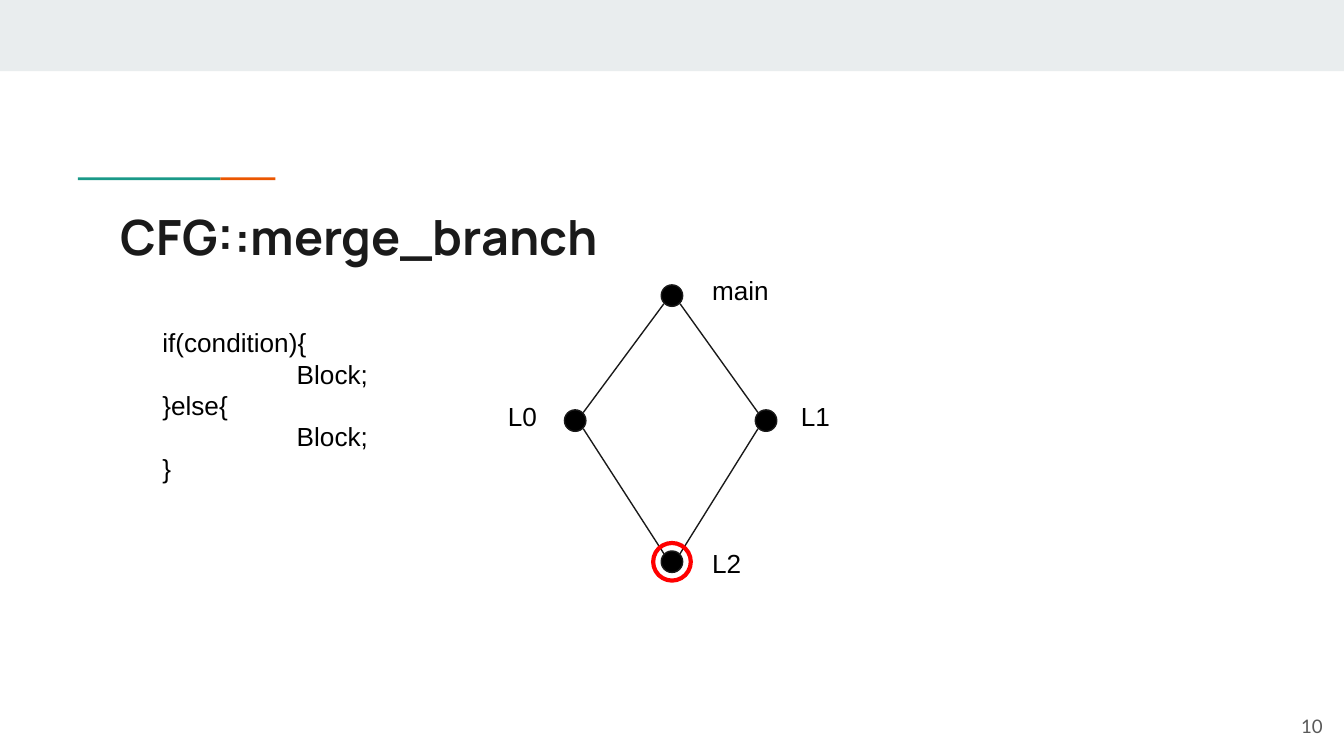
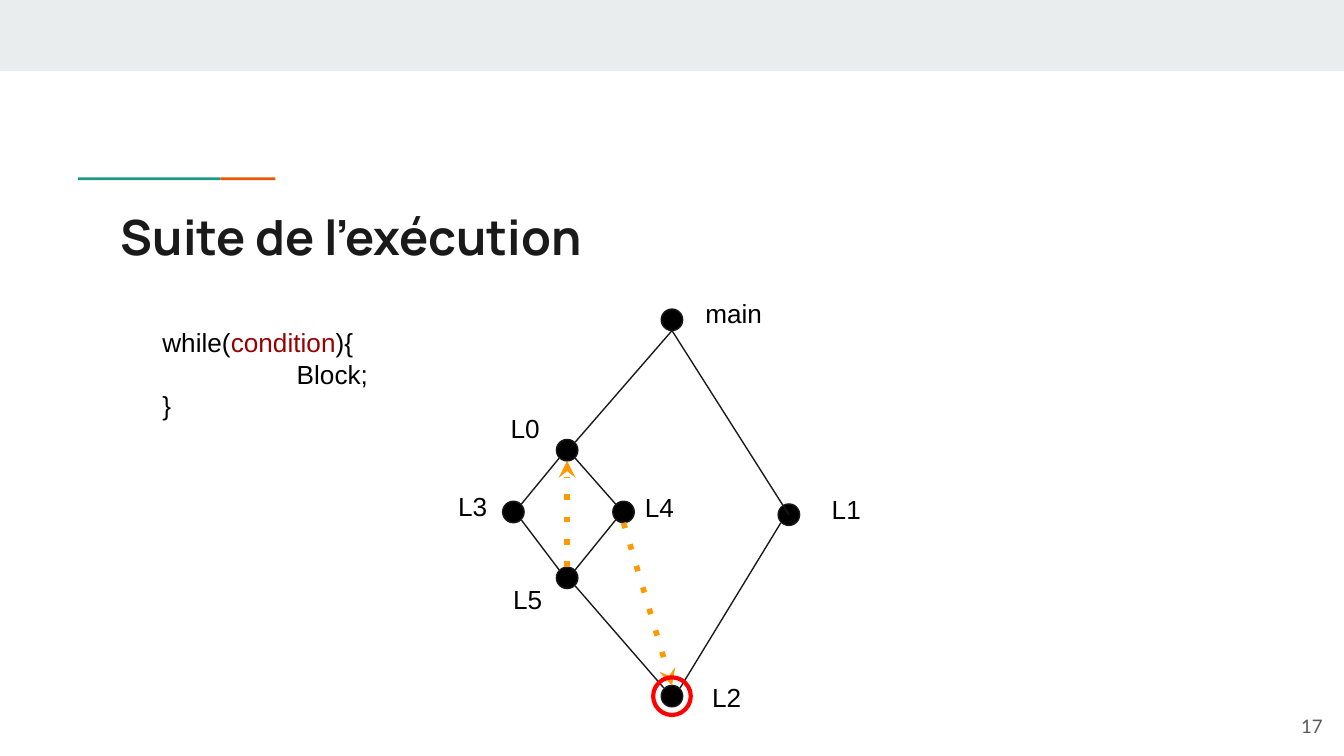
from lxml.etree import SubElement
from pptx import Presentation
from pptx.dml.color import RGBColor
from pptx.enum.shapes import MSO_CONNECTOR, MSO_SHAPE
from pptx.enum.text import MSO_ANCHOR as ANCHOR, PP_ALIGN as ALIGN
from pptx.oxml.ns import qn
from pptx.util import Pt

PX = 9144  # 100 px to the inch
INSET = 10
TAB = 100
NODE, RING = 16, 28
INK, BLACK, GREY = "1A1A1A", "000000", "595959"
BAND, TEAL, ORANGE = "E9EDEE", "1A9988", "EB5600"
RED, DARK_RED, AMBER = "FF0000", "980000", "FF9900"
color = RGBColor.from_string

# Attachment points on a node, as offsets from its centre
SIDES = {"c": (0, 0), "n": (0, -8), "s": (0, 8),
         "nw": (-6, -6), "ne": (6, -6), "sw": (-6, 6), "se": (6, 6)}

# In a code line, every second run is highlighted.
# nodes: name -> (centre x, centre y, label left, label top)
# edges and jumps: start node, side, end node, side
SLIDES = [
    {
        "title": "CFG::merge_branch",
        "number": "10",
        "code": [["if(condition){"], ["\tBlock;"], ["}else{"], ["\tBlock;"], ["}"]],
        "nodes": {
            "main": (500, 220, 520, 194),
            "L0": (428, 313, 368, 288),
            "L1": (570, 313, 586, 288),
            "L2": (500, 418, 520, 397),
        },
        "edges": [
            ("main", "sw", "L0", "ne"), ("main", "se", "L1", "nw"),
            ("L0", "se", "L2", "nw"), ("L1", "sw", "L2", "ne"),
        ],
        "jumps": [],
    },
    {
        "title": "Suite de l’exécution",
        "number": "17",
        "code": [["while(", "condition", "){"], ["\tBlock;"], ["}"]],
        "nodes": {
            "main": (500, 238, 515, 211),
            "L0": (422, 335, 370, 297),
            "L1": (587, 383, 609, 357),
            "L2": (500, 518, 520, 497),
            "L3": (382, 381, 331, 355),
            "L4": (464, 381, 470, 356),
            "L5": (422, 430, 372, 424),
        },
        "edges": [
            ("main", "s", "L0", "ne"), ("main", "s", "L1", "c"),
            ("L0", "sw", "L3", "ne"), ("L0", "se", "L4", "nw"),
            ("L3", "se", "L5", "nw"), ("L4", "sw", "L5", "ne"),
            ("L5", "se", "L2", "nw"), ("L1", "sw", "L2", "ne"),
        ],
        "jumps": [("L4", "s", "L2", "n"), ("L5", "n", "L0", "s")],
    },
]


def add_figure(slide, kind, box, fill=None, line=None, weight=0.75):
    figure = slide.shapes.add_shape(kind, *[n * PX for n in box])
    figure.shadow.inherit = False
    if fill:
        figure.fill.solid()
        figure.fill.fore_color.rgb = color(fill)
    else:
        figure.fill.background()
    if line:
        figure.line.color.rgb = color(line)
        figure.line.width = Pt(weight)
    else:
        figure.line.fill.background()


def write(holder, box, lines, font="Arial", size=14, ink=BLACK, bold=False,
          align=ALIGN.LEFT, anchor=ANCHOR.TOP):
    """Place a text holder and fill it; each line is a list of runs."""
    holder.left, holder.top, holder.width, holder.height = [n * PX for n in box]
    frame = holder.text_frame
    frame.word_wrap = True
    frame.vertical_anchor = anchor
    frame.margin_left = frame.margin_right = INSET * PX
    frame.margin_top = frame.margin_bottom = INSET * PX
    for i, parts in enumerate(lines):
        paragraph = frame.add_paragraph() if i else frame.paragraphs[0]
        paragraph.alignment = align
        for j, part in enumerate(parts):
            run = paragraph.add_run()
            run.text = part
            run.font.name, run.font.size, run.font.bold = font, Pt(size), bold
            run.font.color.rgb = color(DARK_RED if j % 2 else ink)


prs = Presentation()
prs.slide_width = 1000 * PX
prs.slide_height = prs.slide_width * 9 // 16

for content in SLIDES:
    slide = prs.slides.add_slide(prs.slide_layouts[5])
    nodes = content["nodes"]

    # Shared frame: top band, two-colour rule, title, page number
    for box, fill in [((0, 0, 1000, 53), BAND),
                      ((58, 132, 106, 2), TEAL),
                      ((164, 132, 41, 2), ORANGE)]:
        add_figure(slide, MSO_SHAPE.RECTANGLE, box, fill)
    write(slide.shapes.title, (80, 144, 841, 59), [[content["title"]]],
          "Manrope", 26, INK, bold=True)
    page_number = slide.shapes.add_textbox(0, 0, 0, 0)
    write(page_number, (934, 519, 60, 43), [[content["number"]]],
          "Lato", 10, GREY, align=ALIGN.RIGHT, anchor=ANCHOR.MIDDLE)

    code = slide.shapes.add_textbox(0, 0, 0, 0)
    write(code, (111, 233, 184, 164), content["code"])
    for paragraph in code.text_frame.paragraphs:
        paragraph.line_spacing = 1.0
        tabs = SubElement(paragraph._p.pPr, qn("a:tabLst"))
        SubElement(tabs, qn("a:tab"), pos=str(TAB * PX), algn="l")

    # Control-flow graph
    for name, (x, y, label_left, label_top) in nodes.items():
        add_figure(slide, MSO_SHAPE.OVAL,
                   (x - NODE // 2, y - NODE // 2, NODE, NODE), BLACK, INK)
        label = slide.shapes.add_textbox(0, 0, 0, 0)
        label_width = 66 if name == "main" else 45
        write(label, (label_left, label_top, label_width, 53), [[name]])

    for link in content["edges"] + content["jumps"]:
        start, start_side, end, end_side = link
        ends = [nodes[node][axis] + SIDES[side][axis]
                for node, side in ((start, start_side), (end, end_side))
                for axis in (0, 1)]
        edge = slide.shapes.add_connector(MSO_CONNECTOR.STRAIGHT,
                                          *[n * PX for n in ends])
        is_jump = link in content["jumps"]
        edge.line.color.rgb = color(AMBER if is_jump else INK)
        edge.line.width = Pt(3 if is_jump else 0.75)
        properties = edge._element.spPr
        if is_jump:
            stroke = properties.find(qn("a:ln"))
            SubElement(stroke, qn("a:prstDash"), val="dot")
            SubElement(stroke, qn("a:tailEnd"), type="stealth")
        SubElement(properties, qn("a:effectLst"))

    # Ring around the merge node
    x, y = nodes["L2"][:2]
    add_figure(slide, MSO_SHAPE.OVAL, (x - RING // 2, y - RING // 2, RING, RING),
               line=RED, weight=2.25)

prs.save("out.pptx")
